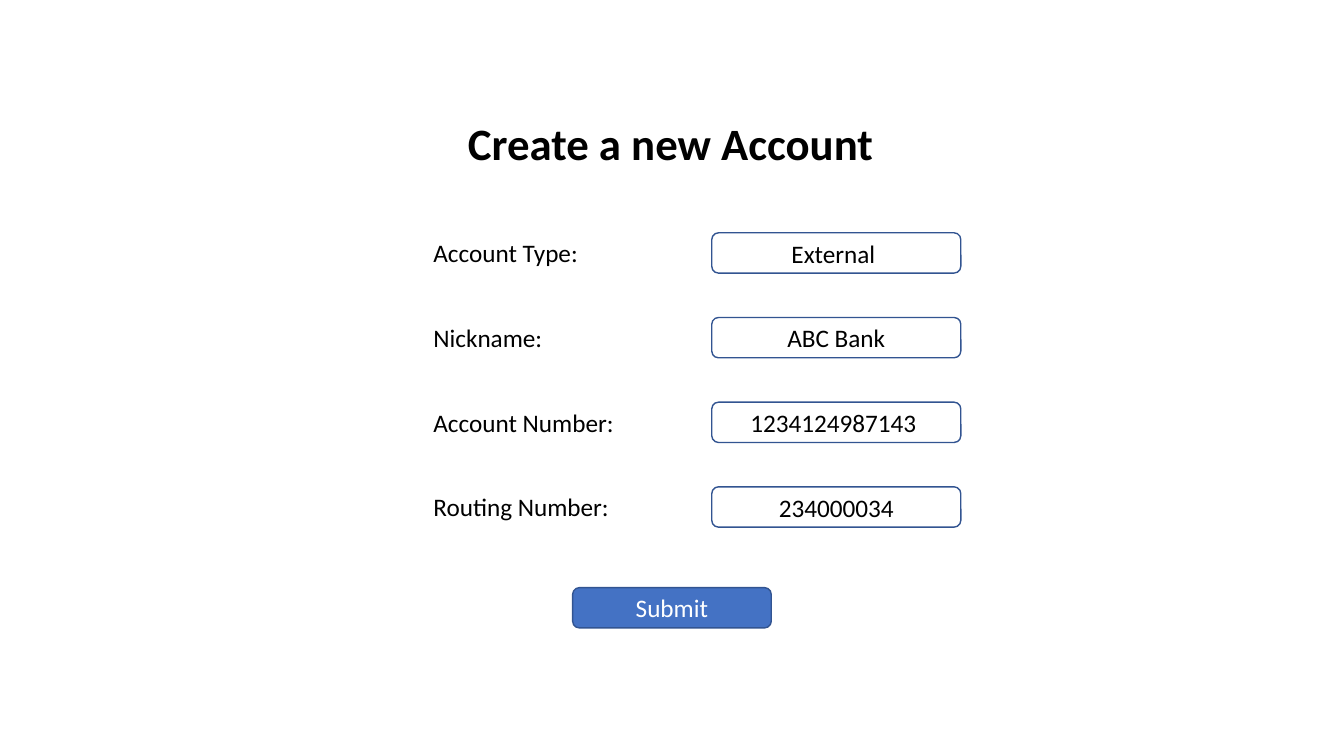
import pptx
import pptx.util
import pptx.dml.color
import pptx.enum.shapes
import pptx.enum.text

Inches = pptx.util.Inches
RGBColor = pptx.dml.color.RGBColor
ALIGN = pptx.enum.text.PP_ALIGN
ANCHOR = pptx.enum.text.MSO_ANCHOR
BLACK = RGBColor(0x00, 0x00, 0x00)
WHITE = RGBColor(0xFF, 0xFF, 0xFF)
BLUE = RGBColor(0x44, 0x72, 0xC4)
OUTLINE = RGBColor(0x32, 0x54, 0x91)

FIELDS = [
    ("Account Type:", "External "),
    ("Nickname:", "ABC Bank"),
    ("Account Number:", "1234124987143 "),
    ("Routing Number:", "234000034"),
]
ROW_HEIGHT = 0.4
ROW_PITCH = 0.84


def write_text(sp, text, align, anchor, wrap=False, color=BLACK, size=18, bold=False):
    tf = sp.text_frame
    frame = {"word_wrap": wrap, "vertical_anchor": anchor,
             "auto_size": pptx.enum.text.MSO_AUTO_SIZE.NONE}
    for name, value in frame.items():
        setattr(tf, name, value)
    p = tf.paragraphs[0]
    p.alignment = align
    r = p.add_run()
    r.text = text
    font = {"name": "Calibri", "size": pptx.util.Pt(size), "bold": bold}
    for name, value in font.items():
        setattr(r.font, name, value)
    r.font.color.rgb = color


def add_title(s, left, top, width, height):
    sp = s.shapes.title
    box = {"left": left, "top": top, "width": width, "height": height}
    for name, value in box.items():
        setattr(sp, name, Inches(value))
    write_text(sp, "Create a new Account", ALIGN.LEFT, ANCHOR.TOP, size=32, bold=True)


def add_rounded_box(s, text, left, top, width, height, fill=None, color=BLACK):
    sp = s.shapes.add_shape(pptx.enum.shapes.MSO_SHAPE.ROUNDED_RECTANGLE,
                            Inches(left), Inches(top), Inches(width), Inches(height))
    sp.shadow.inherit = False
    if fill is None:
        sp.fill.background()
    else:
        sp.fill.solid()
        sp.fill.fore_color.rgb = fill
    sp.line.color.rgb = OUTLINE
    sp.line.width = pptx.util.Pt(1)
    write_text(sp, text, ALIGN.CENTER, ANCHOR.MIDDLE, wrap=True, color=color)


def add_form(s, left, top, width):
    label_width, input_width = 2.01, 2.47
    for i, (label, value) in enumerate(FIELDS):
        y = top + i * ROW_PITCH
        sp = s.shapes.add_textbox(Inches(left), Inches(y),
                                  Inches(label_width), Inches(ROW_HEIGHT))
        write_text(sp, label, ALIGN.LEFT, ANCHOR.TOP)
        add_rounded_box(s, value, left + width - input_width, y, input_width, ROW_HEIGHT)


def main():
    prs = pptx.Presentation()
    prs.slide_width = Inches(13.33)
    prs.slide_height = Inches(7.5)
    s = prs.slides.add_slide(prs.slide_layouts.get_by_name("Title Only"))
    add_title(s, 4.54, 1.1, 4.26, 0.64)
    add_form(s, 4.2, 2.31, 5.33)
    add_rounded_box(s, "Submit", 5.68, 5.83, 1.97, ROW_HEIGHT, fill=BLUE, color=WHITE)
    prs.save("out.pptx")


if __name__ == "__main__":
    main()
